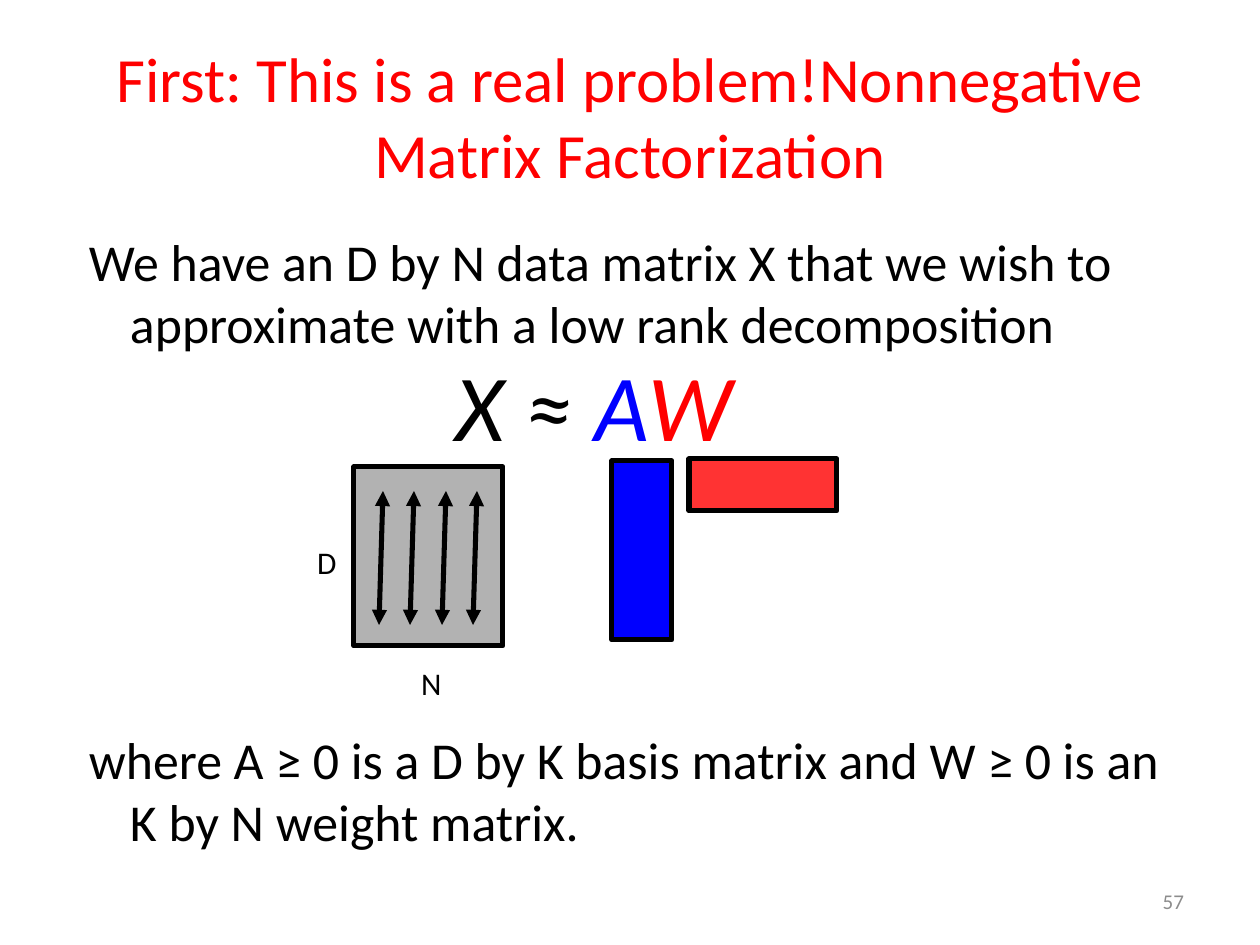
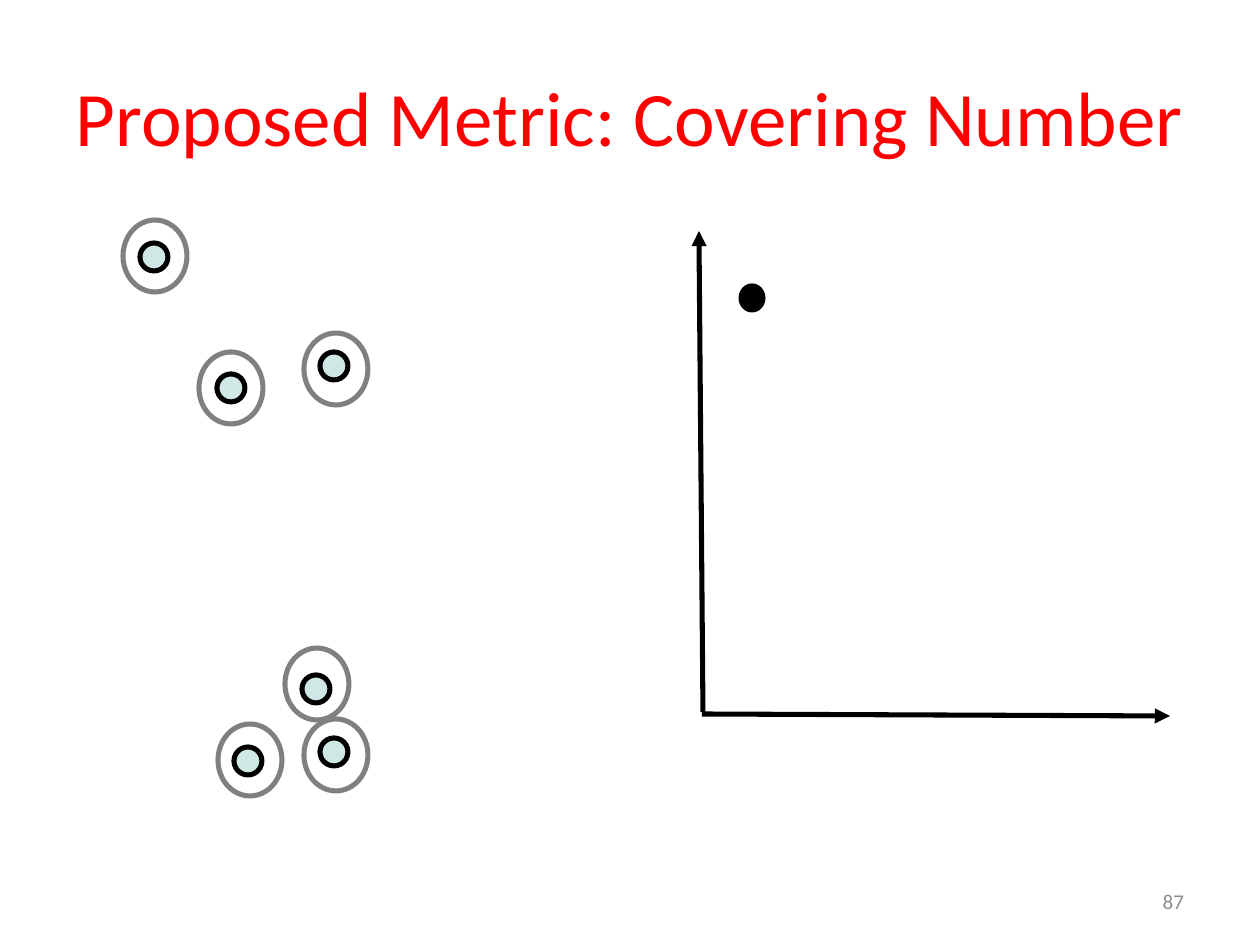
from dataclasses import dataclass
from lxml import etree
from pptx import Presentation, util as u
from pptx.dml.color import RGBColor
from pptx.enum import shapes, text
from pptx.oxml.ns import qn


@dataclass(frozen=True)
class Theme:
    font: str = "Calibri"
    ink: str = "000000"
    red: str = "FF0000"
    blue: str = "0000FF"
    gray: str = "B2B2B2"
    rose: str = "FF3333"
    mint: str = "CFE7E5"
    ring: str = "808080"
    mute: str = "8C8C8C"
    line: float = 2.89
    body: float = 29.6
    math: int = 54
    label: int = 18
    foot: int = 12


T = Theme()
LEFT, MID, RIGHT = text.PP_ALIGN.LEFT, text.PP_ALIGN.CENTER, text.PP_ALIGN.RIGHT
RECT, OVAL = shapes.MSO_SHAPE.RECTANGLE, shapes.MSO_SHAPE.OVAL

FACTOR = ("First: This is a real problem!Nonnegative Matrix Factorization", 36, "57")
METRIC = ("Proposed Metric: Covering Number", 44, "87")
BODY = [
    (224, "We have an D by N data matrix X that we wish to approximate with a low rank decomposition"),
    (722, "where A ≥ 0 is a D by K basis matrix and W ≥ 0 is an K by N weight matrix."),
]
MATH = [("X ≈ ", T.ink), ("A", T.blue), ("W", T.red)]
BLOCKS = [
    ((354, 467, 149, 179), T.gray),
    ((612, 461, 60, 179), T.blue),
    ((689, 459, 148, 52), T.rose),
]
LABELS = [("N", 410, 656), ("D", 306, 535)]
COLS = 4
DOTS = [
    ((140, 243), (123, 220)),
    ((217, 374), (199, 352)),
    ((320, 352), (304, 333)),
    ((320, 738), (304, 719)),
    ((302, 675), (285, 648)),
    ((234, 747), (218, 724)),
]
AXES = [((702, 714), (1170, 716)), ((703, 712), (699, 231))]
MARK = (741, 286, 22, 24)


def px(n):
    return u.Emu(round(n * 914400 / 126))


def rgb(code):
    return RGBColor.from_string(code)


def style(font, size, color):
    font.name, font.size = T.font, u.Pt(size)
    font.color.rgb = rgb(color)


def place(box, at):
    box.left, box.top, box.width, box.height = map(px, at)


def frame(box, pad, wrap=True, anchor=text.MSO_ANCHOR.TOP):
    tf = box.text_frame
    tf.auto_size = text.MSO_AUTO_SIZE.NONE
    tf.word_wrap, tf.vertical_anchor = wrap, anchor
    tf.margin_left, tf.margin_top, tf.margin_right, tf.margin_bottom = map(px, pad)
    return tf.paragraphs[0]


def write(slide, at, words, size, color, pad=(13, 6, 13, 6), align=LEFT, **opts):
    par = frame(slide.shapes.add_textbox(*map(px, at)), pad, **opts)
    par.text, par.alignment = words, align
    style(par.font, size, color)
    return par


def shape(slide, kind, at, fill, line=T.ink):
    box = slide.shapes.add_shape(kind, *map(px, at))
    box.shadow.inherit = False
    if fill:
        box.fill.solid()
        box.fill.fore_color.rgb = rgb(fill)
    else:
        box.fill.background()
    box.line.color.rgb = rgb(line)
    box.line.width = u.Pt(T.line)


def arrow(slide, start, end, tips):
    link = slide.shapes.add_connector(shapes.MSO_CONNECTOR.STRAIGHT, *map(px, start + end))
    link.line.color.rgb = rgb(T.ink)
    link.line.width = u.Pt(T.line)
    ln = link.line._get_or_add_ln()
    for tip in tips:
        etree.SubElement(ln, qn("a:" + tip), type="triangle")
    etree.SubElement(link._element.spPr, qn("a:effectLst"))


def page(deck, words, size, num):
    slide = deck.slides.add_slide(deck.slide_layouts[5])
    title = slide.shapes.title
    place(title, (63, 38, 1134, 157))
    par = frame(title, (12, 4, 12, 6), anchor=text.MSO_ANCHOR.MIDDLE)
    par.text, par.alignment = words, MID
    style(par.font, size, T.red)
    write(slide, (903, 876, 294, 50), num, T.foot, T.mute,
          align=RIGHT, anchor=text.MSO_ANCHOR.MIDDLE)
    return slide


def factor(deck):
    slide = page(deck, *FACTOR)
    for top, words in BODY:
        par = write(slide, (63, top, 1134, 140), words, T.body, T.ink)
        ppr = par._p.get_or_add_pPr()
        ppr.set("marL", str(px(54)))
        ppr.set("indent", str(px(-41)))
    par = write(slide, (420, 347, 348, 115), "", T.math, T.ink, (0, 0, 0, 0), MID)
    par.font.italic = True
    for words, color in MATH:
        run = par.add_run()
        run.text = words
        run.font.color.rgb = rgb(color)
    for at, fill in BLOCKS:
        shape(slide, RECT, at, fill)
    for i in range(COLS):
        x = 383 + i * 63 // 2
        arrow(slide, (x, 491), (x - 4, 625), ("headEnd", "tailEnd"))
    for words, x, y in LABELS:
        write(slide, (x, y, 43, 43), words, T.label, T.ink, (11, 8, 11, 5), wrap=False)


def metric(deck):
    slide = page(deck, *METRIC)
    for dot, ring in DOTS:
        shape(slide, OVAL, dot + (28, 28), T.mint)
        shape(slide, OVAL, ring + (64, 72), None, T.ring)
    for start, end in AXES:
        arrow(slide, start, end, ("tailEnd",))
    shape(slide, OVAL, MARK, T.ink)


def main():
    deck = Presentation()
    deck.slide_width, deck.slide_height = px(1260), px(945)
    factor(deck)
    metric(deck)
    deck.save("out.pptx")


if __name__ == "__main__":
    main()
